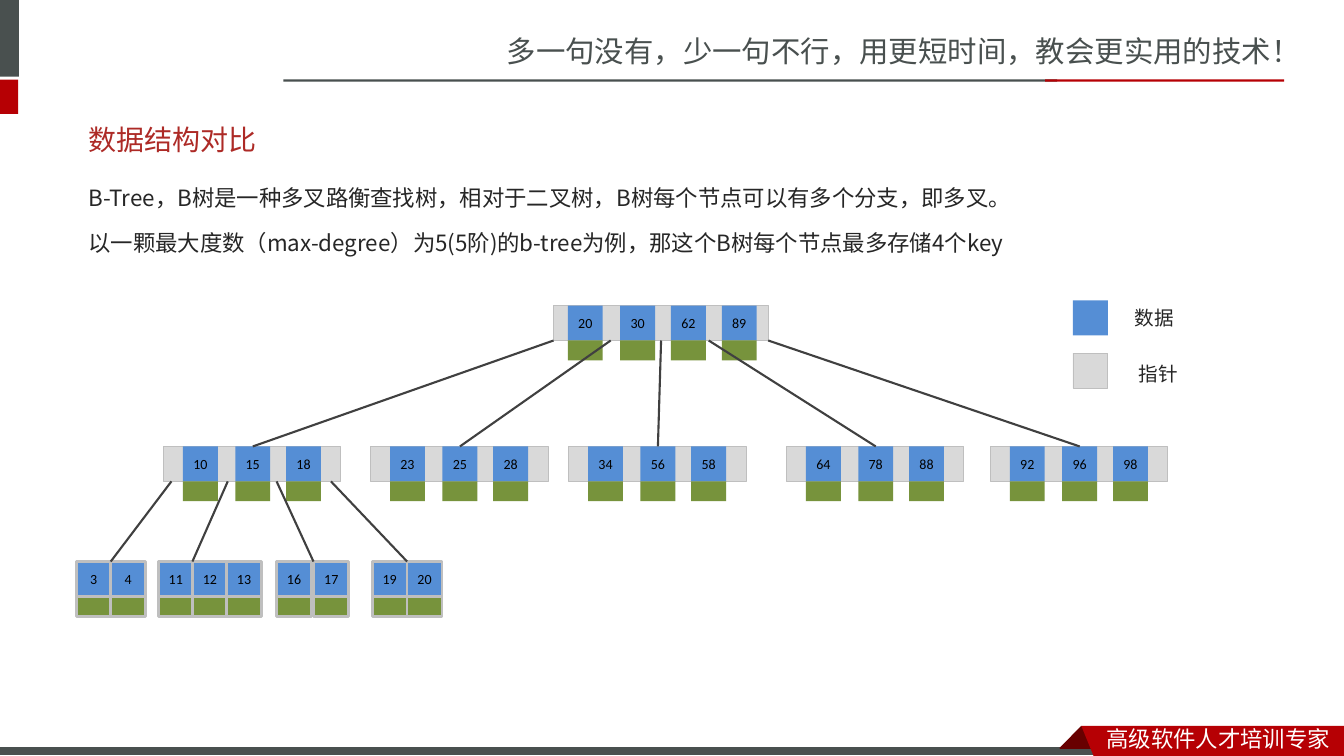
"""Builds a slide that explains a B-tree of degree five with a node diagram."""
from lxml import etree
from pptx import Presentation
from pptx.dml.color import RGBColor
from pptx.enum.shapes import MSO_CONNECTOR, MSO_SHAPE
from pptx.enum.text import MSO_ANCHOR as ANCHOR, PP_ALIGN as ALIGN
from pptx.oxml.ns import qn
from pptx.util import Cm, Pt

GREY, RED, DARK_RED, WHITE = "49504F", "B60004", "680000", "FFFFFF"
KEY_BLUE, DATA_GREEN, POINTER_GREY, BORDER = "558ED5", "77933C", "D9D9D9", "BFBFBF"
INK, LINK, BLACK, HEADING = "262626", "404040", "000000", "AD2A26"
SANS_SC, SANS_JP, CALIBRI = "Noto Sans CJK SC", "Noto Sans CJK JP", "Calibri"
CELL, DATA_HEIGHT = 0.88, 0.5
ROOT_TOP, BRANCH_TOP, LEAF_TOP = 7.7, 11.25, 14.15

deck = Presentation()
deck.slide_width, deck.slide_height = Cm(33.87), Cm(19.05)
slide = deck.slides.add_slide(deck.slide_layouts[6])
shapes = slide.shapes


def paint(shape, fill, border=None, weight=0.5):
    shape.shadow.inherit = False
    shape.fill.solid()
    shape.fill.fore_color.rgb = RGBColor.from_string(fill)
    if border:
        shape.line.color.rgb = RGBColor.from_string(border)
        shape.line.width = Pt(weight)
    else:
        shape.line.fill.background()
    return shape


def write(frame, lines, size, font, color, spacing=None, align=ALIGN.LEFT):
    frame.word_wrap = True
    for index, line in enumerate(lines):
        paragraph = frame.add_paragraph() if index else frame.paragraphs[0]
        paragraph.alignment = align
        if spacing:
            paragraph.line_spacing = spacing
            paragraph.space_before = Pt(size * 0.2)
        run = paragraph.add_run()
        run.text = line
        run.font.size = Pt(size)
        run.font.name = font
        run.font.color.rgb = RGBColor.from_string(color)
        east_asian = etree.SubElement(run.font._element, qn("a:ea"))
        east_asian.set("typeface", SANS_SC if font == CALIBRI else font)


bars = [
    (0, 0, 0.48, 1.93, GREY, None),
    (0, 2.01, 0.46, 0.86, RED, None),
    (7.14, 2, 19.5, 0.06, GREY, None),
    (26.34, 2, 6.02, 0.06, RED, None),
    (0, 18.82, 27.92, 0.23, GREY, WHITE),
]
for left, top, width, height, fill, border in bars:
    bar = shapes.add_shape(MSO_SHAPE.RECTANGLE, Cm(left), Cm(top), Cm(width), Cm(height))
    paint(bar, fill, border, 0.75)

ribbon = [
    (DARK_RED, [(27.25, 18.29), (27.81, 18.85), (27.79, 18.87), (26.72, 18.87), (26.7, 18.85)]),
    (RED, [(27.25, 18.29), (33.87, 18.29), (33.87, 19.05), (27.56, 19.05)]),
]
for fill, corners in ribbon:
    outline = [(Cm(x), Cm(y)) for x, y in corners]
    builder = shapes.build_freeform(*outline[0])
    builder.add_line_segments(outline[1:], close=True)
    paint(builder.convert_to_shape(), fill)

texts = [
    (12.52, 0.71, 21.35, 1.19, ["多一句没有，少一句不行，用更短时间，教会更实用的技术！"],
     21, SANS_SC, GREY, None, ANCHOR.TOP),
    (27.64, 18.16, 6.22, 0.89, ["高级软件人才培训专家"], 16, SANS_SC, WHITE, None, ANCHOR.TOP),
    (1.98, 2.79, 29.72, 1.45, ["数据结构对比"], 20, CALIBRI, HEADING, None, ANCHOR.MIDDLE),
    (1.98, 4.19, 29.72, 3,
     ["B-Tree，B树是一种多叉路衡查找树，相对于二叉树，B树每个节点可以有多个分支，即多叉。",
      "以一颗最大度数（max-degree）为5(5阶)的b-tree为例，那这个B树每个节点最多存储4个key"],
     16, SANS_JP, INK, 1.5, ANCHOR.TOP),
    (28.35, 7.29, 1.68, 1.42, ["数据"], 14, SANS_JP, INK, 1.5, ANCHOR.TOP),
    (28.45, 8.71, 1.68, 1.42, ["指针"], 14, SANS_JP, INK, 1.5, ANCHOR.TOP),
]
for left, top, width, height, lines, size, font, color, spacing, anchor in texts:
    frame = shapes.add_textbox(Cm(left), Cm(top), Cm(width), Cm(height)).text_frame
    frame.vertical_anchor = anchor
    write(frame, lines, size, font, color, spacing)

for top, fill, border in [(7.57, KEY_BLUE, None), (8.9, POINTER_GREY, BORDER)]:
    swatch = shapes.add_shape(MSO_SHAPE.RECTANGLE, Cm(27.04), Cm(top), Cm(CELL), Cm(CELL))
    paint(swatch, fill, border)

ROOT_OFFSETS, BRANCH_OFFSETS = [0.36, 1.68, 2.96, 4.24], [0.49, 1.81, 3.09]
nodes = [(13.95, ROOT_TOP, 5.41, [20, 30, 62, 89], ROOT_OFFSETS)]
branches = [
    (4.12, [10, 15, 18]),
    (9.34, [23, 25, 28]),
    (14.33, [34, 56, 58]),
    (19.82, [64, 78, 88]),
    (24.96, [92, 96, 98]),
]
nodes += [(left, BRANCH_TOP, 4.47, keys, BRANCH_OFFSETS) for left, keys in branches]
leaves = [
    (1.92, 0.87, [3, 4]),
    (3.99, 0.86, [11, 12, 13]),
    (6.97, 0.94, [16, 17]),
    (9.38, 0.88, [19, 20]),
]
nodes += [(left, LEAF_TOP, None, keys, [step * i for i in range(len(keys))])
          for left, step, keys in leaves]

branch_middles = []
for left, top, width, keys, offsets in nodes:
    border = None if width else BORDER
    if width:
        pointers = shapes.add_shape(MSO_SHAPE.RECTANGLE, Cm(left), Cm(top), Cm(width), Cm(CELL))
        paint(pointers, POINTER_GREY, BORDER)
    for index, (key, offset) in enumerate(zip(keys, offsets)):
        x = Cm(left + offset)
        key_cell = shapes.add_shape(MSO_SHAPE.RECTANGLE, x, Cm(top), Cm(CELL), Cm(CELL))
        paint(key_cell, KEY_BLUE, border, 2)
        frame = key_cell.text_frame
        frame.margin_left = frame.margin_right = frame.margin_top = frame.margin_bottom = 0
        frame.vertical_anchor = ANCHOR.MIDDLE
        write(frame, [str(key)], 10, CALIBRI, BLACK, align=ALIGN.CENTER)
        data_cell = shapes.add_shape(
            MSO_SHAPE.RECTANGLE, x, Cm(top + CELL), Cm(CELL), Cm(DATA_HEIGHT))
        paint(data_cell, DATA_GREEN, border, 2)
        if top == BRANCH_TOP and index == 1:
            branch_middles.append(key_cell)

root_links = [(x, ROOT_TOP, 0, BRANCH_TOP, middle)
              for x, middle in zip([13.95, 15.39, 16.66, 17.86, 19.36], branch_middles)]
leaf_links = [(x, BRANCH_TOP, end, LEAF_TOP, None)
              for x, end in [(4.32, 2.79), (5.74, 4.85), (6.97, 7.9), (8.34, 10.26)]]
for start, parent_top, end, child_top, child_key in root_links + leaf_links:
    link = shapes.add_connector(
        MSO_CONNECTOR.STRAIGHT, Cm(start), Cm(parent_top + CELL), Cm(end), Cm(child_top))
    if child_key is not None:
        link.end_connect(child_key, 0)
    link.line.color.rgb = RGBColor.from_string(LINK)
    link.line.width = Pt(1.5)
    etree.SubElement(link._element.spPr, qn("a:effectLst"))

deck.save("out.pptx")
